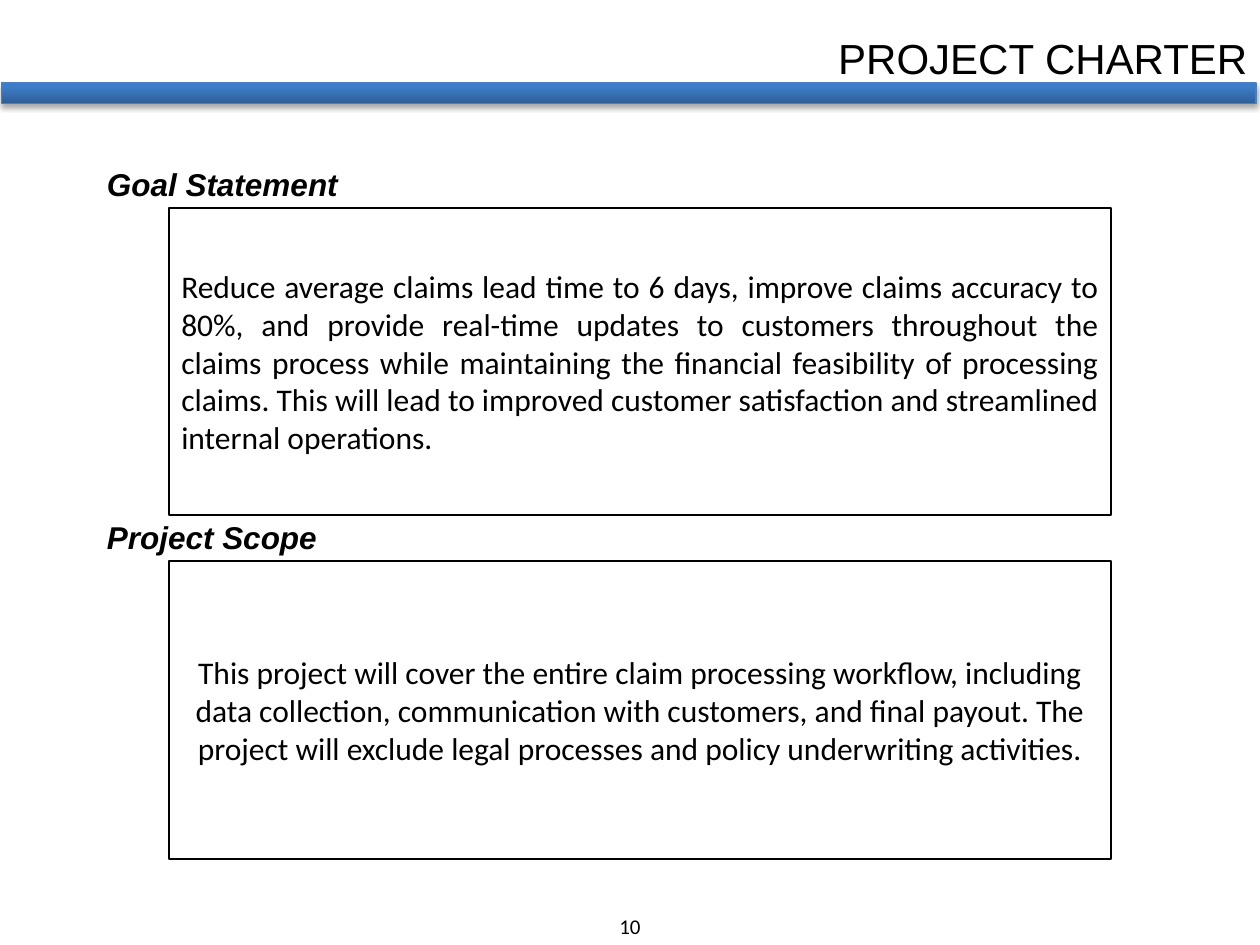
from lxml import etree
from pptx import Presentation
from pptx.dml.color import RGBColor
from pptx.enum.shapes import MSO_SHAPE
from pptx.enum.text import MSO_ANCHOR, MSO_AUTO_SIZE, PP_ALIGN
from pptx.oxml import parse_xml
from pptx.oxml.ns import nsdecls, qn
from pptx.util import Inches, Pt

RECTANGLE = MSO_SHAPE.RECTANGLE
TOP, MIDDLE = MSO_ANCHOR.TOP, MSO_ANCHOR.MIDDLE
LEFT, CENTER, RIGHT, JUSTIFY = (
    PP_ALIGN.LEFT, PP_ALIGN.CENTER, PP_ALIGN.RIGHT, PP_ALIGN.JUSTIFY)
NO_AUTOFIT = MSO_AUTO_SIZE.NONE

# Content
TITLE = "PROJECT CHARTER"
PAGE_NUMBER = "10"
SECTIONS = [  # heading, statement, alignment, box height
    ("Goal Statement",
     "Reduce average claims lead time to 6 days, improve claims accuracy to 80%, "
     "and provide real-time updates to customers throughout the claims process "
     "while maintaining the financial feasibility of processing claims. This will "
     "lead to improved customer satisfaction and streamlined internal operations.",
     JUSTIFY, 2.44),
    ("Project Scope",
     "This project will cover the entire claim processing workflow, including data "
     "collection, communication with customers, and final payout. The project will "
     "exclude legal processes and policy underwriting activities.",
     CENTER, 2.37),
]

# Style and layout, in inches
COLORS = {"text": "000000", "bar_line": "4B7EBC", "shadow": "000000"}
BAR_STOPS = [(0, "2F5F99"), (80, "3D7CC7"), (100, "3A7CCB")]
HEADING_FONT, BODY_FONT = "Arial", "Calibri"
SLIDE_W, SLIDE_H = 10, 7.5
HEADING_X, HEADING_W, HEADING_H = 0.75, 2.83, 0.4
BOX_X, BOX_W = 1.34, 7.48
FIRST_Y, HEADING_STEP = 1.26, 0.39
PAGE_W, PAGE_H = 0.63, 0.3


def rgb(name):
    return RGBColor.from_string(COLORS[name])


def inches(*lengths):
    return [Inches(length) for length in lengths]


def write(shape, text, font, size, align, anchor=TOP, emphasis=False):
    frame = shape.text_frame
    frame.word_wrap = True
    frame.auto_size = NO_AUTOFIT
    frame.vertical_anchor = anchor
    paragraph = frame.paragraphs[0]
    paragraph.alignment = align
    run = paragraph.add_run()
    run.text = text
    run.font.name, run.font.size = font, Pt(size)
    run.font.bold = run.font.italic = emphasis
    run.font.color.rgb = rgb("text")


def add_bar(shapes):
    bar = shapes.add_shape(RECTANGLE, *inches(0.01, 0.66, 9.96, 0.16))
    bar.line.color.rgb = rgb("bar_line")
    bar.line.width = Pt(0.75)
    bar.fill.gradient()
    bar.fill.gradient_angle = 90
    stops = bar.element.spPr.find(".//" + qn("a:gsLst"))
    for stop in list(stops):
        stops.remove(stop)
    for position, color in BAR_STOPS:
        stop = etree.SubElement(stops, qn("a:gs"), pos=str(position * 1000))
        etree.SubElement(stop, qn("a:srgbClr"), val=color)
    bar.element.spPr.append(parse_xml(
        f'<a:effectLst {nsdecls("a")}>'
        f'<a:outerShdw blurRad="{Pt(3.1)}" dist="{Pt(1.8)}" dir="5400000" rotWithShape="0">'
        f'<a:srgbClr val="{COLORS["shadow"]}"><a:alpha val="35000"/></a:srgbClr>'
        '</a:outerShdw></a:effectLst>'))


def add_section(shapes, top, heading, statement, align, height):
    section = shapes.add_group_shape().shapes
    box = section.add_shape(
        RECTANGLE, *inches(BOX_X, top + HEADING_STEP, BOX_W, height))
    box.shadow.inherit = False
    box.fill.background()
    box.line.color.rgb = rgb("text")
    box.line.width = Pt(1)
    write(box, statement, BODY_FONT, 18, align, MIDDLE)
    label = section.add_textbox(*inches(HEADING_X, top, HEADING_W, HEADING_H))
    write(label, heading, HEADING_FONT, 18, LEFT, emphasis=True)


def main():
    deck = Presentation()
    deck.slide_width, deck.slide_height = inches(SLIDE_W, SLIDE_H)
    slide = deck.slides.add_slide(deck.slide_layouts[5])
    shapes = slide.shapes

    # Title and bar
    title = shapes.title
    title.left, title.top, title.width, title.height = inches(4.84, 0.21, 5.16, 0.5)
    write(title, TITLE, HEADING_FONT, 24, RIGHT)
    add_bar(shapes)

    # Headed boxes, stacked without gaps
    top = FIRST_Y
    for heading, statement, align, height in SECTIONS:
        add_section(shapes, top, heading, statement, align, height)
        top += HEADING_STEP + height - 0.03

    # Page number
    page = shapes.add_textbox(
        *inches((SLIDE_W - PAGE_W) / 2, SLIDE_H - PAGE_H, PAGE_W, PAGE_H))
    write(page, PAGE_NUMBER, BODY_FONT, 12, CENTER)

    deck.save("out.pptx")


if __name__ == "__main__":
    main()
